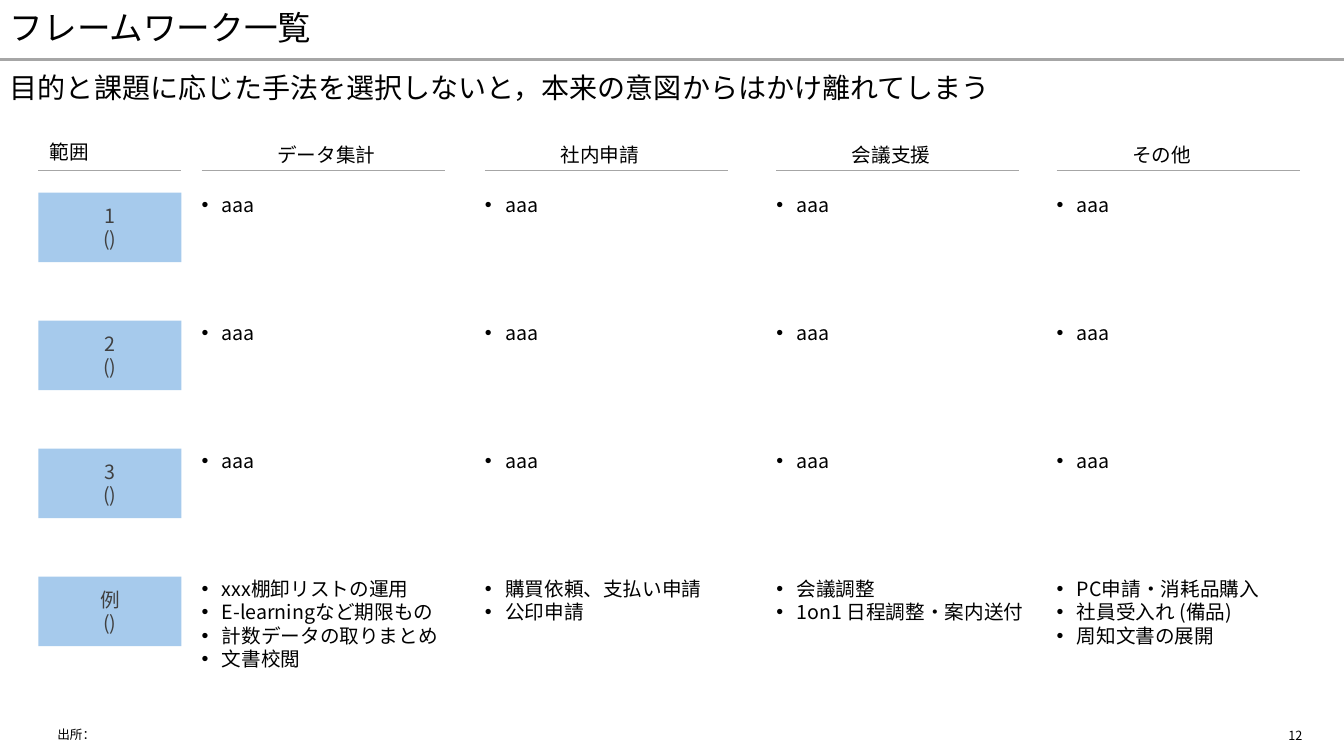
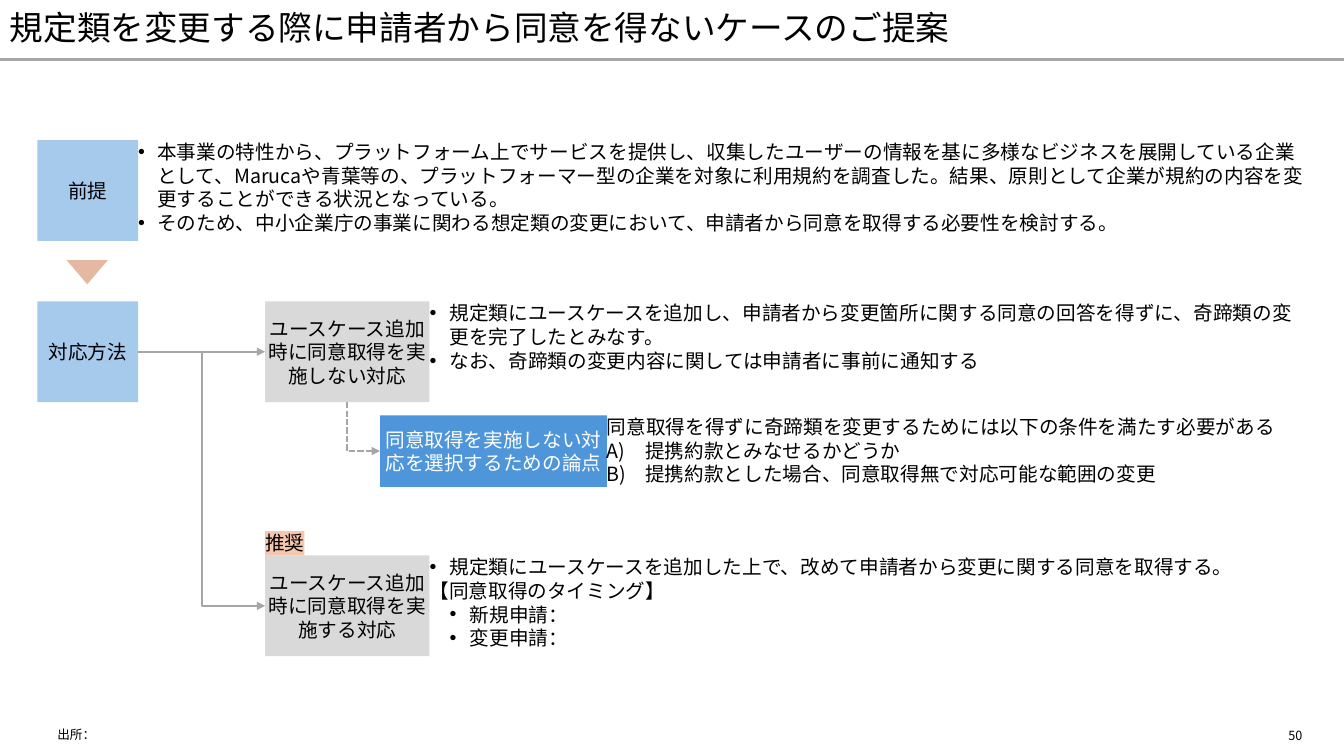
from dataclasses import dataclass

from lxml import etree
from pptx import Presentation
from pptx.dml.color import RGBColor
from pptx.enum import dml, shapes, text
from pptx.oxml import ns
from pptx.util import Emu, Inches, Pt

COLORS = {
    "black": "000000",
    "charcoal": "404040",
    "white": "FFFFFF",
    "rule": "A6A6A6",
    "sky": "A6CAEC",
    "blue": "4E95D9",
    "gray": "D9D9D9",
    "peach": "F6C6AD",
    "rust": "C04F15",
}
FONT = "Noto Sans CJK JP"
SLIDE_WIDTH, SLIDE_HEIGHT = 13.33, 7.5
BAND_HEIGHT = 0.59
BOX_SIZE = 1
LINE_HEIGHT = 0.24


@dataclass
class Item:
    text: str
    marker: str = ""
    indent: float = 0
    hanging: float = 0


def bullets(*lines, indent=0.2, hanging=0.2):
    return [Item(line, "•", indent, hanging) for line in lines]


def lettered(*lines):
    return [Item(line, "A)", 0.38, 0.38) for line in lines]


def color(name):
    return RGBColor.from_string(COLORS[name])


def add_child(parent, tag, **attributes):
    child = etree.SubElement(parent, ns.qn(tag))
    for key, value in attributes.items():
        child.set(key, str(value))
    return child


def set_marker(paragraph, item):
    properties = paragraph._p.get_or_add_pPr()
    properties.set("marL", str(Inches(item.indent)))
    properties.set("indent", str(-Inches(item.hanging)))
    if item.marker == "A)":
        add_child(properties, "a:buFont", typeface="+mj-lt")
        add_child(properties, "a:buAutoNum", type="alphaUcParenR")
    else:
        add_child(properties, "a:buFont", typeface="Arial")
        add_child(properties, "a:buChar", char=item.marker)


def write_text(shape, content, size=14, ink="black", align="LEFT", anchor="TOP",
               inset=(0, 0), wrap=True, spacing=None):
    frame = shape.text_frame
    frame.word_wrap = wrap
    frame.vertical_anchor = text.MSO_ANCHOR[anchor]
    frame.margin_left = frame.margin_right = Inches(inset[0])
    frame.margin_top = frame.margin_bottom = Inches(inset[1])
    items = [content] if isinstance(content, str) else content
    for index, item in enumerate(items):
        item = Item(item) if isinstance(item, str) else item
        paragraph = frame.add_paragraph() if index else frame.paragraphs[0]
        paragraph.alignment = text.PP_ALIGN[align]
        if spacing:
            paragraph.line_spacing = spacing
        if item.marker:
            set_marker(paragraph, item)
        run = paragraph.add_run()
        run.text = item.text
        run.font.name = FONT
        run.font.size = Pt(size)
        run.font.color.rgb = color(ink)
        add_child(run._r.get_or_add_rPr(), "a:ea", typeface=FONT)


def add_text(slide, box, content, **style):
    shape = slide.shapes.add_textbox(*map(Inches, box))
    write_text(shape, content, **style)
    return shape


def add_box(slide, box, fill, content=None, kind="RECTANGLE", **style):
    shape = slide.shapes.add_shape(shapes.MSO_SHAPE[kind], *map(Inches, box))
    shape.shadow.inherit = False
    shape.fill.solid()
    shape.fill.fore_color.rgb = color(fill)
    shape.line.fill.background()
    if content:
        write_text(shape, content, **{"align": "CENTER", "anchor": "MIDDLE", **style})
    return shape


def style_line(connector, width):
    connector.line.color.rgb = color("rule")
    connector.line.width = Pt(width)
    add_child(connector._element.spPr, "a:effectLst")


def add_rule(slide, left, top, width, weight=1):
    rule = slide.shapes.add_connector(
        shapes.MSO_CONNECTOR.STRAIGHT,
        Inches(left), Inches(top), Inches(left + width), Inches(top))
    style_line(rule, weight)


def add_arrow(slide, source, target, kind="STRAIGHT", start=3, dashed=False):
    arrow = slide.shapes.add_connector(shapes.MSO_CONNECTOR[kind], 0, 0, 0, 0)
    arrow.begin_connect(source, start)
    arrow.end_connect(target, 1)
    if dashed:
        arrow.line.dash_style = dml.MSO_LINE.SQUARE_DOT
    style_line(arrow, 1.5)
    add_child(arrow.line._get_or_add_ln(), "a:tailEnd", type="triangle")
    return arrow


def turn_down_then_right(arrow):
    across, down = arrow.end_x - arrow.begin_x, arrow.end_y - arrow.begin_y
    center_x = (arrow.begin_x + arrow.end_x) // 2
    center_y = (arrow.begin_y + arrow.end_y) // 2
    arrow.left, arrow.top = Emu(center_x - down // 2), Emu(center_y - across // 2)
    arrow.width, arrow.height = Emu(down), Emu(across)
    properties = arrow._element.spPr
    transform = properties.find(ns.qn("a:xfrm"))
    transform.set("rot", "16200000")
    transform.set("flipH", "1")
    properties.find(ns.qn("a:prstGeom")).set("prst", "bentConnector2")


def add_frame(presentation, title, number):
    slide = presentation.slides.add_slide(presentation.slide_layouts[6])
    inset = (0.1, 0.05)
    add_rule(slide, 0, BAND_HEIGHT, SLIDE_WIDTH, 2.25)
    add_text(slide, (0, 0, SLIDE_WIDTH, BAND_HEIGHT), title, size=24,
             anchor="MIDDLE", inset=inset, spacing=0.9)
    add_text(slide, (0.47, 7.17, 11.02, LINE_HEIGHT), "出所：", size=9,
             anchor="MIDDLE", inset=inset)
    add_text(slide, (12.68, 7.17, BAND_HEIGHT, LINE_HEIGHT), number, size=9, inset=inset)
    return slide


def add_scope_column(slide, left, top, width, row_tops, names):
    add_text(slide, (left + 0.11, top, width - 0.11, LINE_HEIGHT), "範囲")
    add_rule(slide, left, top + 0.3, width)
    for row_top, name in zip(row_tops, names):
        add_box(slide, (left, row_top, width, 0.69), "sky", [name, "()"], ink="charcoal")


def add_method_column(slide, left, top, width, row_tops, heading, cells):
    add_text(slide, (left + 0.75, top + 0.03, width - 0.75, LINE_HEIGHT), heading)
    add_rule(slide, left, top + 0.3, width)
    for row_top, lines in zip(row_tops, cells):
        add_text(slide, (left, row_top, width + 0.07, LINE_HEIGHT * len(lines)),
                 bullets(*lines))


def build_framework_slide(presentation):
    slide = add_frame(presentation, "フレームワーク一覧", "12")
    add_text(slide, (0, BAND_HEIGHT, SLIDE_WIDTH, BAND_HEIGHT),
             "目的と課題に応じた手法を選択しないと，本来の意図からはかけ離れてしまう",
             size=20, anchor="MIDDLE", inset=(0.1, 0.05), spacing=0.9)
    top = 1.39
    row_tops = [1.91 + 1.27 * row for row in range(4)]
    add_scope_column(slide, 0.38, top, 1.42, row_tops, ["1", "2", "3", "例"])
    methods = [
        (2, "データ集計", ["xxx棚卸リストの運用", "E-learningなど期限もの",
                      "計数データの取りまとめ", "文書校閲"]),
        (4.81, "社内申請", ["購買依頼、支払い申請", "公印申請"]),
        (7.7, "会議支援", ["会議調整", "1on1 日程調整・案内送付"]),
        (10.48, "その他", ["PC申請・消耗品購入", "社員受入れ (備品)", "周知文書の展開"]),
    ]
    for left, heading, examples in methods:
        add_method_column(slide, left, top, 2.41, row_tops, heading,
                          [["aaa"]] * 3 + [examples])


def add_explained_box(slide, box, fill, label, items, ink="black"):
    left, top, width, height = box
    shape = add_box(slide, box, fill, label, ink=ink)
    text_left = left + width
    add_text(slide, (text_left, top, 12.97 - text_left, height), items)
    return shape


def add_premise(slide, left, top):
    add_explained_box(slide, (left, top, BOX_SIZE, BOX_SIZE), "sky", "前提", bullets(
        "本事業の特性から、プラットフォーム上でサービスを提供し、収集したユーザーの情報を基に"
        "多様なビジネスを展開している企業として、Marucaや青葉等の、プラットフォーマー型の企業を"
        "対象に利用規約を調査した。結果、原則として企業が規約の内容を変更することができる状況と"
        "なっている。",
        "そのため、中小企業庁の事業に関わる想定類の変更において、申請者から同意を取得する"
        "必要性を検討する。", indent=0.19, hanging=0.19))
    triangle = add_box(slide, (left + 0.29, top + 1.19, 0.41, 0.24), "rust",
                       kind="ISOSCELES_TRIANGLE")
    triangle.rotation = 180
    fill = triangle._element.spPr.find(ns.qn("a:solidFill"))
    add_child(fill[0], "a:alpha", val=40000)


def add_responses(slide, left, top):
    option_left, option_width = left + 2.26, 1.63
    second_top = top + 2.52
    method = add_box(slide, (left, top, BOX_SIZE, BOX_SIZE), "sky", "対応方法")
    without_consent = add_explained_box(
        slide, (option_left, top, option_width, BOX_SIZE), "gray",
        "ユースケース追加時に同意取得を実施しない対応", bullets(
            "規定類にユースケースを追加し、申請者から変更箇所に関する同意の回答を得ずに、"
            "奇蹄類の変更を完了したとみなす。",
            "なお、奇蹄類の変更内容に関しては申請者に事前に通知する"))
    with_consent = add_explained_box(
        slide, (option_left, second_top, option_width, BOX_SIZE), "gray",
        "ユースケース追加時に同意取得を実施する対応",
        bullets("規定類にユースケースを追加した上で、改めて申請者から変更に関する同意を取得する。")
        + ["【同意取得のタイミング】"]
        + bullets("新規申請：", "変更申請：", indent=0.4))
    issue = add_explained_box(
        slide, (left + 3.4, top + 1.13, 2.25, 0.71), "blue",
        "同意取得を実施しない対応を選択するための論点",
        ["同意取得を得ずに奇蹄類を変更するためには以下の条件を満たす必要がある"]
        + lettered("提携約款とみなせるかどうか",
                   "提携約款とした場合、同意取得無で対応可能な範囲の変更"),
        ink="white")
    add_box(slide, (option_left, second_top - LINE_HEIGHT, 0.39, LINE_HEIGHT), "peach",
            "推奨", align="LEFT", anchor="TOP", wrap=False)
    add_arrow(slide, method, with_consent, kind="ELBOW")
    add_arrow(slide, method, without_consent)
    turn_down_then_right(
        add_arrow(slide, without_consent, issue, kind="ELBOW", start=2, dashed=True))


def build_proposal_slide(presentation):
    slide = add_frame(presentation, "規定類を変更する際に申請者から同意を得ないケースのご提案", "50")
    add_premise(slide, 0.37, 1.39)
    add_responses(slide, 0.37, 2.99)


def main():
    presentation = Presentation()
    presentation.slide_width = Inches(SLIDE_WIDTH)
    presentation.slide_height = Inches(SLIDE_HEIGHT)
    build_framework_slide(presentation)
    build_proposal_slide(presentation)
    presentation.save("out.pptx")


if __name__ == "__main__":
    main()
